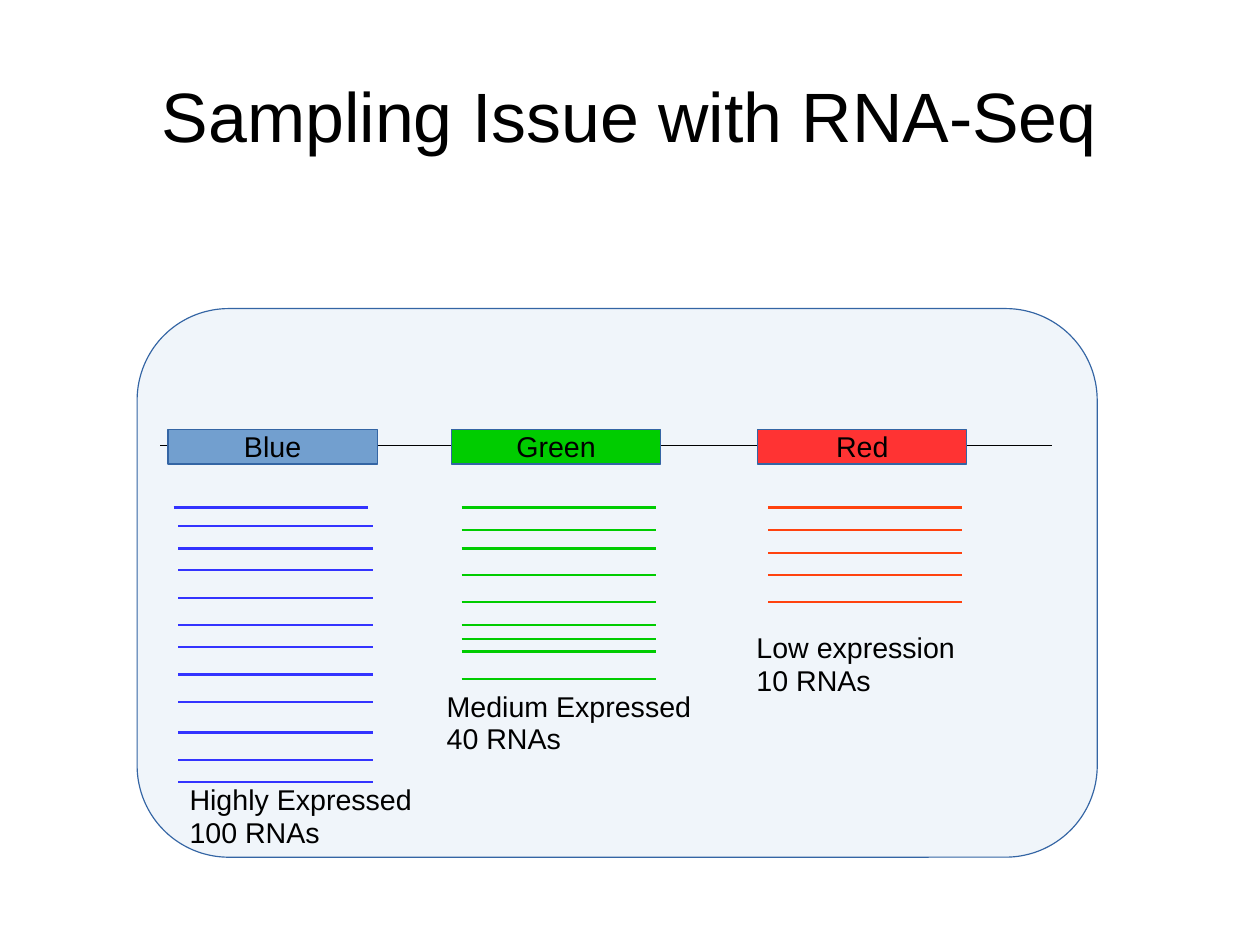
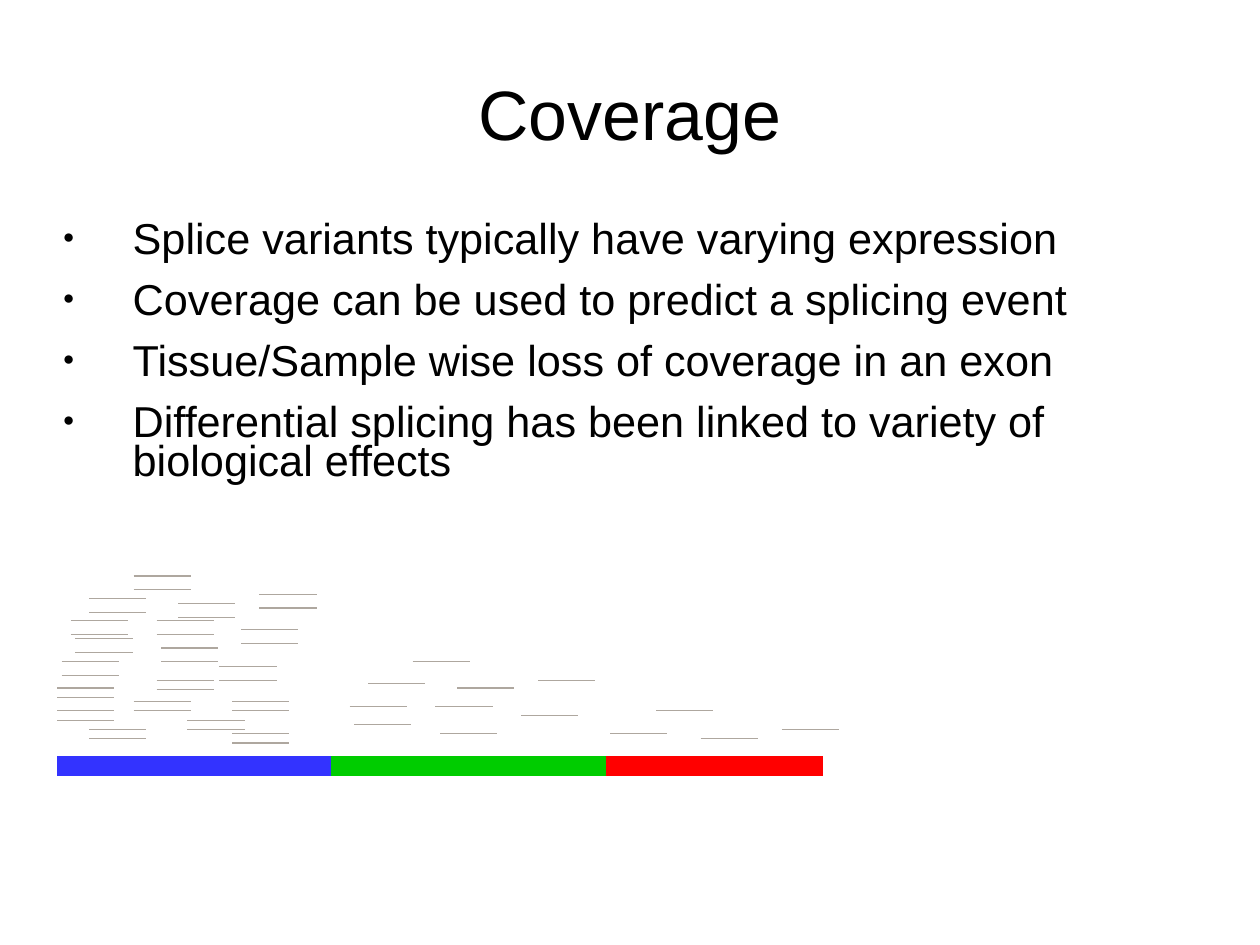
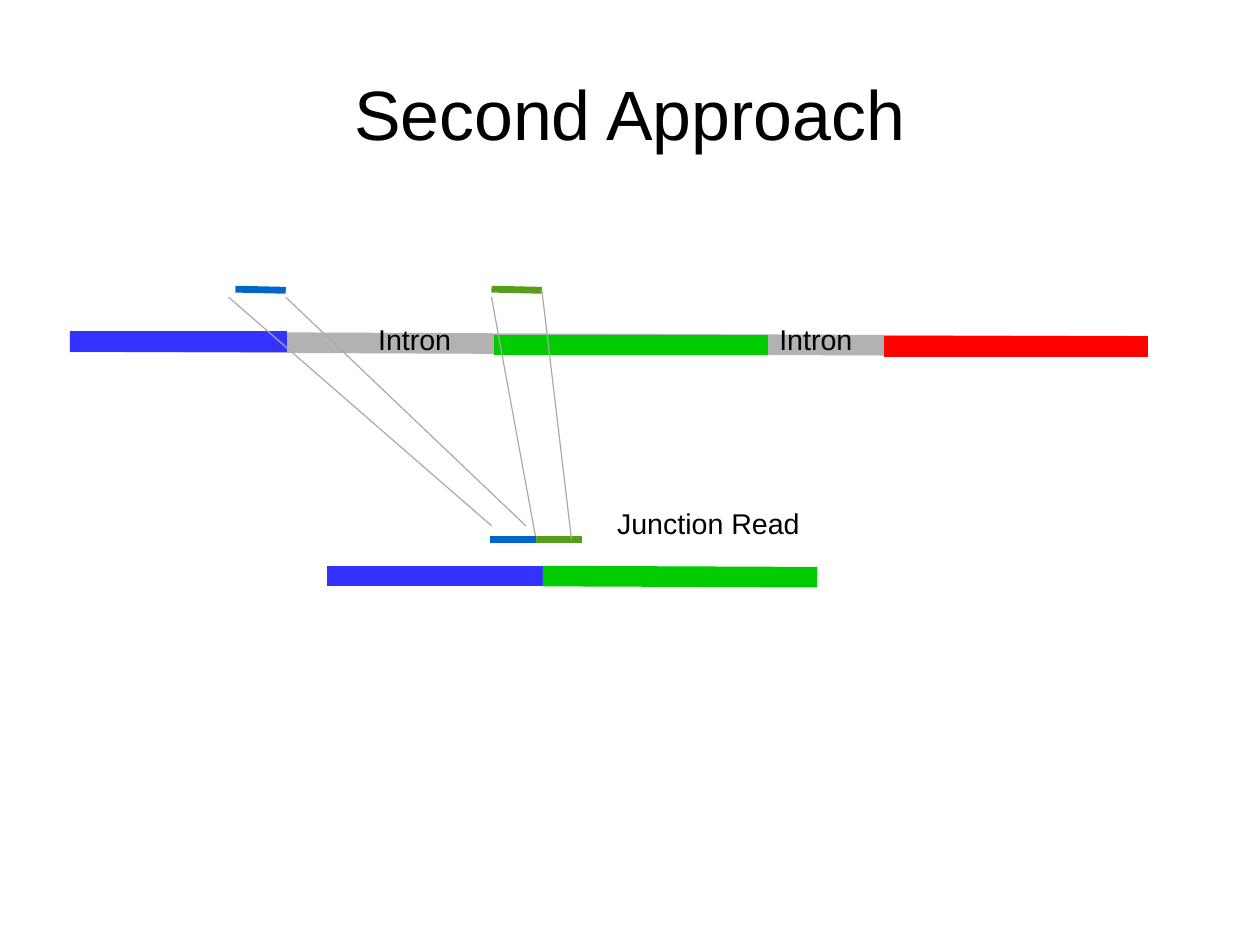
import pptx
import pptx.util
import pptx.dml.color
import pptx.enum.shapes
import pptx.enum.text
import pptx.oxml.ns

Inches, Pt, Cm = pptx.util.Inches, pptx.util.Pt, pptx.util.Cm
RGBColor = pptx.dml.color.RGBColor
MSO_SHAPE = pptx.enum.shapes.MSO_SHAPE
ALIGN, ANCHOR = pptx.enum.text.PP_ALIGN, pptx.enum.text.MSO_ANCHOR
qn = pptx.oxml.ns.qn

# Shared look
SLIDE_W, SLIDE_H = Cm(28), Cm(21)
MARGIN = 0.05 * SLIDE_W.inches
BODY_W = 0.9 * SLIDE_W.inches
TITLE_AREA = (MARGIN, 0.04 * SLIDE_H.inches, BODY_W, SLIDE_H.inches / 6)
BODY_AREA = (MARGIN, 1.93, BODY_W, 2.27)
TITLE_ONLY, TITLE_AND_BODY = 5, 1
FONT = "Arial"
BLACK = RGBColor(0x00, 0x00, 0x00)
BLUE = RGBColor(0x33, 0x33, 0xFF)
GREEN = RGBColor(0x00, 0xCC, 0x00)
RED = RGBColor(0xFF, 0x00, 0x00)
LIGHT_RED = RGBColor(0xFF, 0x33, 0x33)
ORANGE = RGBColor(0xFF, 0x42, 0x0E)
STEEL = RGBColor(0x72, 0x9F, 0xCF)
OUTLINE = RGBColor(0x34, 0x65, 0xA4)
INTRON_GREY = RGBColor(0xB2, 0xB2, 0xB2)
READ_GREY = RGBColor(0xAE, 0xA7, 0x9F)
READ_BLUE = RGBColor(0x00, 0x66, 0xCC)
READ_GREEN = RGBColor(0x57, 0x9D, 0x1C)
THIN, RNA_LINE, READ_LINE, EXON_LINE = 0.75, 1.45, 4.31, 12.95
LABEL_INSETS = (0.1, 0.05, 0.1, 0.05)

# Slide 1: gene name, box fill, box left, RNA colour, RNA left, RNA heights,
# caption lines, caption place and width
GENE_W, GENE_H, RNA_W, CAPTION_H = 1.83, 0.3, 1.7, 0.68
GENES = [
    ("Blue", STEEL, 1.47, BLUE, 1.56,
     (4.6, 4.8, 4.99, 5.23, 5.47, 5.66, 5.9, 6.14, 6.41, 6.65, 6.84),
     ("Highly Expressed", "100 RNAs"), (1.56, 6.82, 2.28)),
    ("Green", GREEN, 3.95, GREEN, 4.04,
     (4.44, 4.64, 4.8, 5.03, 5.27, 5.47, 5.59, 5.7, 5.94),
     ("Medium Expressed", "40 RNAs"), (3.81, 6, 2.33)),
    ("Red", LIGHT_RED, 6.63, ORANGE, 6.72,
     (4.44, 4.64, 4.84, 5.03, 5.27),
     ("Low expression", "10 RNAs"), (6.52, 5.49, 1.93)),
]
FIRST_BLUE_RNA = (1.52, 4.44)

# Slide 2
BULLETS = [
    "Splice variants typically have varying expression",
    "Coverage can be used to predict a splicing event",
    "Tissue/Sample wise loss of coverage in an exon",
    "Differential splicing has been linked to variety of biological effects",
]
EXONS = [(0.5, 2.9, BLUE), (2.9, 5.3, GREEN), (5.3, 7.2, RED)]
EXON_Y, READ_W = 6.7, 0.5
# Gap up to a second read (0 for a single read) and the reads' left ends
READS = [
    (0.08, [(0.5, 6.1), (1.17, 6.22), (1.64, 6.38), (1.37, 6.03), (0.78, 6.46),
            (2.03, 6.22), (2.03, 6.5), (0.5, 6.3)]),
    (0.12, [(0.54, 5.91), (0.66, 5.71), (1.41, 5.79), (1.92, 5.95),
            (2.11, 5.63), (0.62, 5.55), (1.37, 5.55), (0.78, 5.36),
            (1.56, 5.4), (2.27, 5.32), (1.17, 5.16)]),
    (0, [(3.1, 6.34), (3.85, 6.42), (4.56, 6.26), (3.06, 6.18), (3.81, 6.18),
         (3.22, 5.98), (4, 6.02), (4.71, 5.95), (3.61, 5.79),
         (5.34, 6.42), (6.13, 6.46), (6.84, 6.38), (5.74, 6.22)]),
]

# Slide 3: start, end, colour, width
GENOME = [
    ((0.61, 2.99), (9.94, 3.03), INTRON_GREY, EXON_LINE),
    ((0.61, 2.99), (2.51, 2.99), BLUE, EXON_LINE),
    ((4.32, 3.02), (6.72, 3.02), GREEN, EXON_LINE),
    ((2.86, 5.04), (4.76, 5.04), BLUE, EXON_LINE),
    ((4.75, 5.04), (7.15, 5.05), GREEN, EXON_LINE),
    ((7.73, 3.03), (10.04, 3.03), RED, EXON_LINE),
]
JUNCTION = [
    ((4.33, 4.72), (4.73, 4.72), READ_BLUE, READ_LINE),
    ((2.06, 2.53), (2.5, 2.54), READ_BLUE, READ_LINE),
    ((4.3, 2.53), (4.74, 2.54), READ_GREEN, READ_LINE),
    ((4.69, 4.72), (5.09, 4.72), READ_GREEN, READ_LINE),
    ((4.3, 4.6), (2, 2.6), READ_GREY, THIN),
    ((4.6, 4.6), (2.5, 2.6), READ_GREY, THIN),
    ((4.3, 2.6), (4.69, 4.72), READ_GREY, THIN),
    ((4.74, 2.53), (5, 4.72), READ_GREY, THIN),
    ((4.29, 4.72), (4.69, 4.72), READ_BLUE, READ_LINE),
]
LABELS = [("Intron", 3.21, 2.79, 0.84), ("Intron", 6.72, 2.79, 0.84),
          ("Junction Read", 5.3, 4.4, 1.79)]


# Helpers
def apply(target, formats):
    for name, value in formats.items():
        setattr(target, name, value)


def place(sp, area):
    apply(sp, dict(zip(("left", "top", "width", "height"), map(Inches, area))))


def write(tf, lines, size=18, insets=LABEL_INSETS, anchor=ANCHOR.TOP, wrap=False,
          bullet=False, **para):
    left, top, right, bottom = map(Inches, insets)
    apply(tf, dict(margin_left=left, margin_top=top, margin_right=right,
                   margin_bottom=bottom, vertical_anchor=anchor, word_wrap=wrap,
                   auto_size=pptx.enum.text.MSO_AUTO_SIZE.NONE))
    para = {"alignment": ALIGN.LEFT, "line_spacing": 0.94,
            "space_before": Pt(0), **para}
    for i, line in enumerate(lines):
        p = tf.paragraphs[0] if i == 0 else tf.add_paragraph()
        if bullet:
            add_bullet(p)
        apply(p, para)
        r = p.add_run()
        r.text = line
        apply(r.font, dict(name=FONT, size=Pt(size)))
        r.font.color.rgb = BLACK


def add_bullet(p):
    pPr = p._p.get_or_add_pPr()
    pPr.set("marL", str(Inches(0.61)))
    pPr.set("indent", str(-Inches(0.61)))
    for tag, attr, value in (("buSzPct", "val", "45000"),
                             ("buFont", "typeface", FONT),
                             ("buChar", "char", "●")):
        pPr.append(pPr.makeelement(qn("a:" + tag), {attr: value}))


def add_text(s, lines, x, y, w, h):
    box = s.shapes.add_textbox(*map(Inches, (x, y, w, h)))
    write(box.text_frame, lines)


def add_line(s, start, end, color, width):
    line = s.shapes.add_connector(pptx.enum.shapes.MSO_CONNECTOR.STRAIGHT,
                                  *map(Inches, start + end))
    line.line.color.rgb = color
    line.line.width = Pt(width)
    spPr = line._element.spPr
    spPr.append(spPr.makeelement(qn("a:effectLst"), {}))


def add_box(s, kind, x, y, w, h, fill):
    sp = s.shapes.add_shape(kind, *map(Inches, (x, y, w, h)))
    sp.shadow.inherit = False
    sp.fill.solid()
    sp.fill.fore_color.rgb = fill
    sp.line.color.rgb = OUTLINE
    sp.line.width = Pt(THIN)
    return sp


def add_slide(prs, title, top_inset=0, layout=TITLE_ONLY):
    s = prs.slides.add_slide(prs.slide_layouts[layout])
    place(s.shapes.title, TITLE_AREA)
    write(s.shapes.title.text_frame, [title], size=44,
          insets=(0, top_inset, 0, 0), anchor=ANCHOR.MIDDLE, wrap=True,
          alignment=ALIGN.CENTER)
    return s


# Slides
def sampling_slide(prs):
    s = add_slide(prs, "Sampling Issue with RNA-Seq", top_inset=0.04)
    cell = add_box(s, MSO_SHAPE.ROUNDED_RECTANGLE, 1.2, 2.7, 8.4, 4.8, STEEL)
    cell.adjustments[0] = 0.167
    color = cell._element.spPr.find(qn("a:solidFill")).find(qn("a:srgbClr"))
    color.append(color.makeelement(qn("a:alpha"), {"val": "10000"}))
    add_line(s, (1.4, 3.9), (9.2, 3.9), BLACK, THIN)
    rnas = [(*FIRST_BLUE_RNA, BLUE)]
    for name, fill, left, rna_color, rna_x, heights, caption, (x, y, w) in GENES:
        gene = add_box(s, MSO_SHAPE.RECTANGLE, left, 3.76, GENE_W, GENE_H, fill)
        write(gene.text_frame, [name], insets=(0.1, 0.06, 0.1, 0.05),
              anchor=ANCHOR.MIDDLE, alignment=ALIGN.CENTER)
        rnas += [(rna_x, height, rna_color) for height in heights]
        add_text(s, caption, x, y, w, CAPTION_H)
    for x, y, rna_color in rnas:
        add_line(s, (x, y), (x + RNA_W, y), rna_color, RNA_LINE)


def coverage_slide(prs):
    s = add_slide(prs, "Coverage", layout=TITLE_AND_BODY)
    body = s.placeholders[1]
    place(body, BODY_AREA)
    write(body.text_frame, BULLETS, size=27.2, insets=(0, 0.03, 0, 0), wrap=True,
          bullet=True, line_spacing=0.74, space_after=Pt(14.3))
    for start, end, color in EXONS:
        add_line(s, (start, EXON_Y), (end, EXON_Y), color, EXON_LINE)
    for gap, reads in READS:
        for x, y in reads:
            for read_y in ((y, y - gap) if gap else (y,)):
                add_line(s, (x, read_y), (x + READ_W, read_y), READ_GREY, THIN)


def junction_slide(prs):
    s = add_slide(prs, "Second Approach")
    for segment in GENOME:
        add_line(s, *segment)
    for text, x, y, w in LABELS:
        add_text(s, [text], x, y, w, 0.4)
    for segment in JUNCTION:
        add_line(s, *segment)


def main():
    prs = pptx.Presentation()
    prs.slide_width, prs.slide_height = SLIDE_W, SLIDE_H
    for build in (sampling_slide, coverage_slide, junction_slide):
        build(prs)
    prs.save("out.pptx")


if __name__ == "__main__":
    main()
